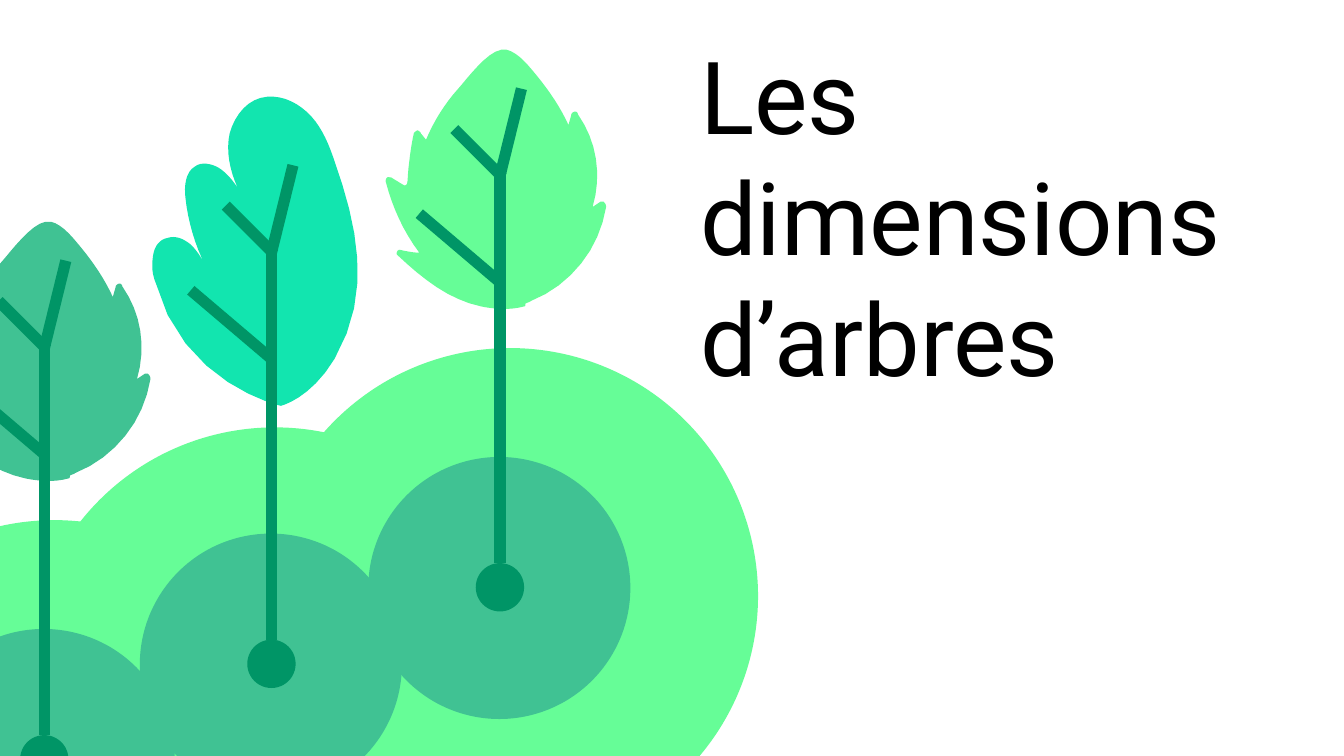
from lxml import etree
from pptx import Presentation
from pptx.dml.color import RGBColor
from pptx.enum.shapes import MSO_CONNECTOR as CONN, MSO_SHAPE as SHAPE
from pptx.enum.text import MSO_ANCHOR as ANCHOR, MSO_AUTO_SIZE as AUTO, PP_ALIGN as ALIGN
from pptx.oxml.ns import qn
from pptx.util import Pt

PX = 9144  # EMU per px, 100 px to the inch
LIME, GREEN, TEAL, DARK = "66FD97", "40C293", "12E5AF", "009566"

# Outlines are measured from the top of the trunk: the start point, then
# two numbers for a straight line or six for a Bézier curve.
TOOTHED_LEAF = [
    (5, -90), (4, -90, 3, -90, 1, -90), (-10, -88, -24, -69, -31, -61),
    (-41, -50, -49, -37, -55, -23), (-59, -28), (-59, -29, -60, -29, -61, -30),
    (-62, -30, -63, -29, -64, -28), (-66, -19, -67, -11, -68, -2),
    (-69, 7, -68, 11, -71, 11), (-73, 10, -76, 8, -81, 5), (-82, 5),
    (-84, 4, -85, 6, -85, 8), (-80, 27, -72, 45, -60, 61),
    (-65, 61, -69, 60, -74, 59), (-76, 58, -78, 62, -76, 63),
    (-58, 80, -38, 96, -14, 101), (-4, 103, 7, 104, 18, 101),
    (19, 101, 19, 100, 19, 99), (20, 98, 22, 98, 23, 97),
    (53, 85, 74, 58, 79, 27), (79, 25, 78, 24, 77, 23),
    (76, 23, 75, 23, 75, 23), (69, 27), (76, 3, 72, -22, 58, -42),
    (58, -43, 57, -44, 56, -44), (55, -44, 53, -43, 53, -41), (51, -34),
    (45, -47, 37, -59, 28, -70), (23, -76, 14, -88, 5, -90),
]
LOBED_LEAF = [
    (47, 83), (76, 33, 63, -18, 47, -64), (43, -76, 38, -88, 30, -97),
    (21, -107, 9, -113, -3, -112), (-17, -111, -27, -99, -31, -85),
    (-34, -72, -31, -57, -25, -44), (-29, -50, -33, -55, -39, -59),
    (-44, -62, -52, -64, -57, -60), (-64, -56, -65, -45, -64, -37),
    (-62, -19, -57, -2, -49, 14), (-52, 8, -55, 3, -60, -2),
    (-65, -6, -71, -9, -77, -7), (-83, -6, -87, -1, -88, 6),
    (-89, 12, -89, 18, -87, 24), (-67, 102, 7, 118, 7, 118),
    (7, 118, 29, 113, 47, 83),
]
BRANCHES = [(0, 4, 16, -61), (2, 5, -34, -31), (-60, 32, 0, 83)]
# Trunk top, outline and leaf colour, in drawing order
TREES = [
    (202, 184, LOBED_LEAF, TEAL),
    (372, 127, TOOTHED_LEAF, LIME),
    (33, 255, TOOTHED_LEAF, GREEN),
]


def rgb(color):
    return RGBColor.from_string(color)


def flatten(outline, steps=8):
    """Return the outline's points, with each curve cut into short lines."""
    points = [outline[0]]
    for seg in outline[1:]:
        if len(seg) == 2:
            points.append(seg)
            continue
        x0, y0 = points[-1]
        x1, y1, x2, y2, x3, y3 = seg
        for i in range(1, steps + 1):
            t = i / steps
            a, b, c, d = (1 - t) ** 3, 3 * t * (1 - t) ** 2, 3 * t * t * (1 - t), t ** 3
            points.append((a * x0 + b * x1 + c * x2 + d * x3,
                           a * y0 + b * y1 + c * y2 + d * y3))
    return points


class Painter:
    """Holds the style and the current slide; lengths are in px."""

    font = "Roboto"
    line_width = Pt(6)

    def __init__(self, slide):
        self.s = slide

    def fill(self, sp, color):
        sp.shadow.inherit = False
        sp.fill.solid()
        sp.fill.fore_color.rgb = rgb(color)
        sp.line.fill.background()
        return sp

    def circle(self, x, y, size, color):
        sp = self.s.shapes.add_shape(SHAPE.OVAL, x * PX, y * PX, size * PX, size * PX)
        return self.fill(sp, color)

    def outline(self, x, y, outline, color):
        points = [((x + dx) * PX, (y + dy) * PX) for dx, dy in flatten(outline)]
        fb = self.s.shapes.build_freeform(*points[0])
        fb.add_line_segments(points[1:], close=True)
        return self.fill(fb.convert_to_shape(), color)

    def line(self, x1, y1, x2, y2, color):
        cx = self.s.shapes.add_connector(CONN.STRAIGHT, x1 * PX, y1 * PX, x2 * PX, y2 * PX)
        cx.line.color.rgb = rgb(color)
        cx.line.width = self.line_width
        etree.SubElement(cx._element.spPr, qn("a:effectLst"))
        return cx

    def title(self, x, y, w, h, text, size):
        sp = self.s.shapes.title
        sp.left, sp.top, sp.width, sp.height = (v * PX for v in (x, y, w, h))
        tf = sp.text_frame
        tf.text = text
        tf.word_wrap = True
        tf.auto_size = AUTO.NONE
        tf.vertical_anchor = ANCHOR.BOTTOM
        tf.margin_left = tf.margin_right = tf.margin_top = tf.margin_bottom = 10 * PX
        p = tf.paragraphs[0]
        p.alignment = ALIGN.LEFT
        font = p.runs[0].font
        font.name, font.size, font.color.rgb = self.font, Pt(size), rgb("000000")


def main():
    prs = Presentation()
    prs.slide_width = 1000 * PX
    prs.slide_height = prs.slide_width * 9 // 16
    paint = Painter(prs.slides.add_slide(prs.slide_layouts[5]))

    paint.title(511, 81, 439, 224, "Les dimensions d’arbres", 54)
    for x, y in ((20, 318), (-144, 387), (195, 259)):
        paint.circle(x, y, 369, LIME)
    for x, y, leaf, color in TREES:
        paint.outline(x, y, leaf, color)
        for x1, y1, x2, y2 in BRANCHES:
            paint.line(x + x1, y + y1, x + x2, y + y2, DARK)
    for x, y, _, _ in TREES:
        paint.circle(x - 98, y + 213, 195, GREEN)
        dot = paint.circle(x - 18, y + 292, 36, DARK)
        paint.line(x, y, x, y + 292, DARK).end_connect(dot, 0)

    prs.save("out.pptx")


if __name__ == "__main__":
    main()
